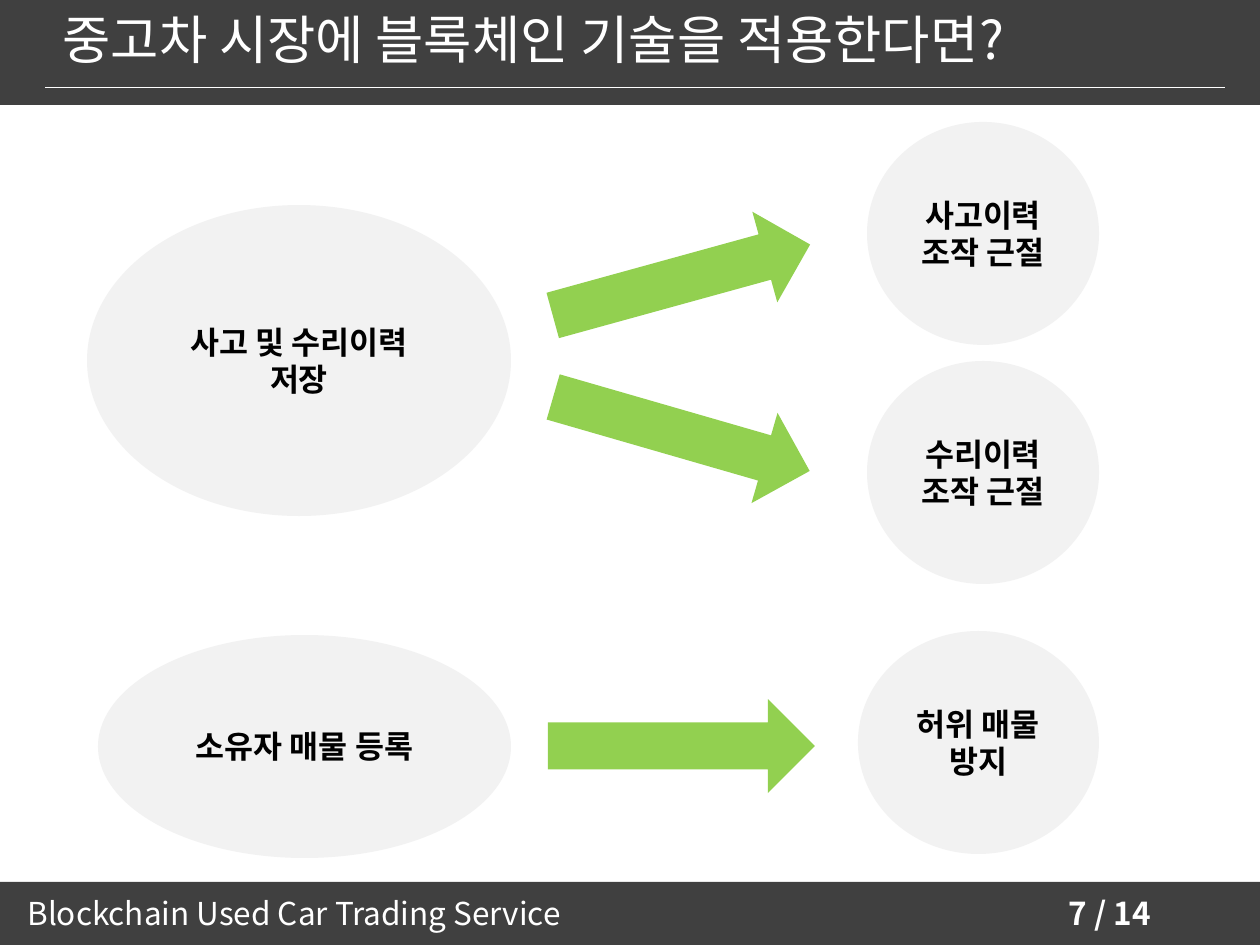
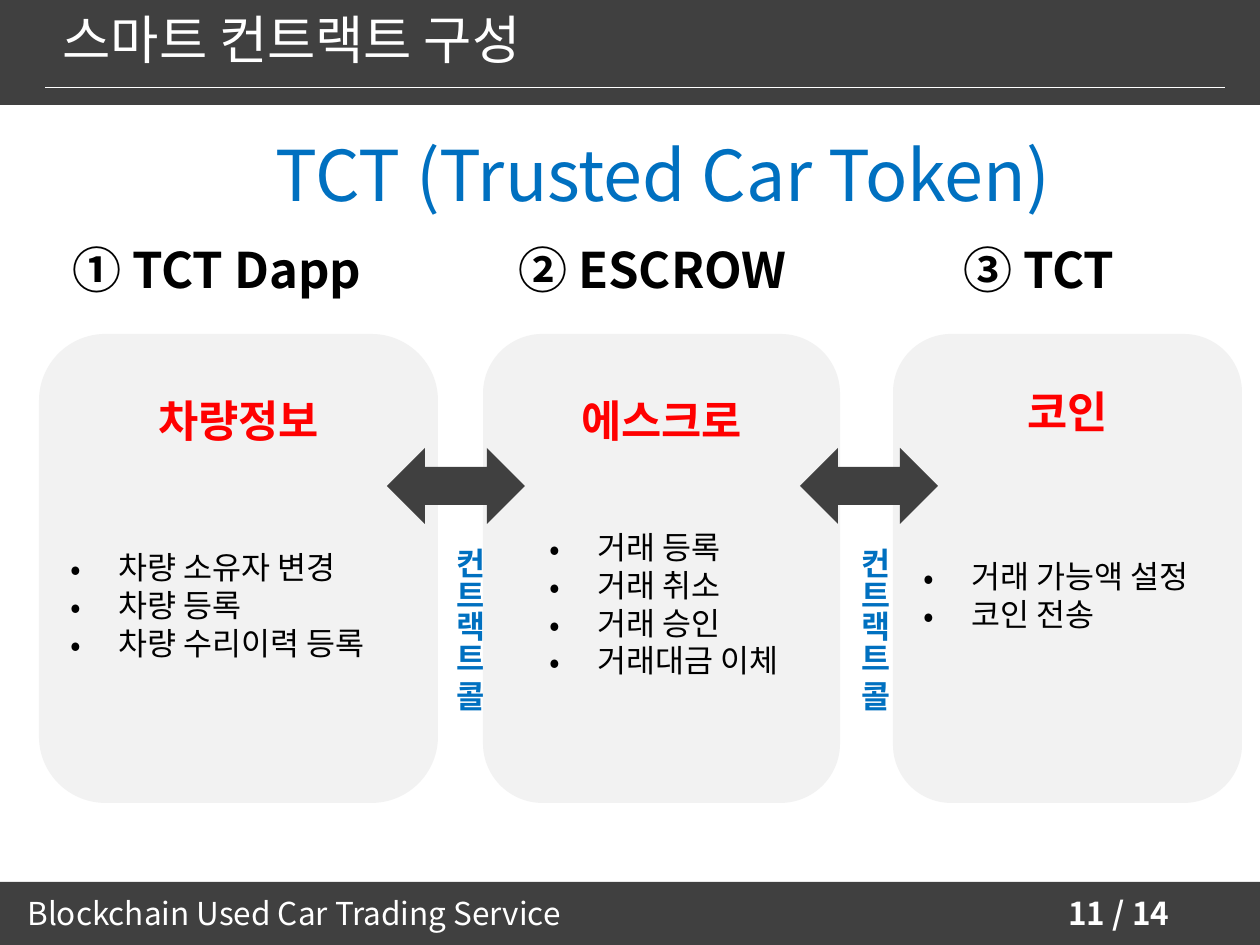
import pptx
import pptx.util
import pptx.dml.color
import pptx.oxml.ns
import pptx.enum.shapes
import pptx.enum.text
import lxml.etree

PX = 914400 / 126
PAGE_WIDTH = 1260
FONT = "Noto Sans CJK KR"
COLORS = {
    "band": "404040", "white": "FFFFFF", "black": "000000", "panel": "F2F2F2",
    "arrow": "92D050", "red": "FF0000", "blue": "0070C0",
}
SHAPES = pptx.enum.shapes.MSO_SHAPE
ALIGN = pptx.enum.text.PP_ALIGN
ANCHOR = pptx.enum.text.MSO_ANCHOR
qn = pptx.oxml.ns.qn


def place(page, kind, area, fill=None):
    """Add a filled preset shape, or a text box when kind is None."""
    spot = [round(value * PX) for value in area]
    if kind is None:
        return page.shapes.add_textbox(*spot)
    shape = page.shapes.add_shape(kind, *spot)
    shape.shadow.inherit = False
    shape.fill.solid()
    shape.fill.fore_color.rgb = pptx.dml.color.RGBColor.from_string(COLORS[fill])
    shape.line.fill.background()
    return shape


def write(shape, text, size=18, color="black", bold=False, align=ALIGN.LEFT,
          anchor=ANCHOR.TOP, top=6, bullet=False, vertical=False):
    """Fill a shape with text, one paragraph for each line."""
    frame = shape.text_frame
    frame.word_wrap = True
    frame.auto_size = pptx.enum.text.MSO_AUTO_SIZE.NONE
    frame.vertical_anchor = anchor
    frame.margin_top = round(top * PX)
    if vertical:
        shape._element.txBody.bodyPr.set("vert", "eaVert")
    for number, line in enumerate(text.split("\n")):
        para = frame.add_paragraph() if number else frame.paragraphs[0]
        para.alignment = align
        para.line_spacing = pptx.util.Pt(size * 1.2)
        if bullet:
            props = para._p.get_or_add_pPr()
            indent = round(48 * PX)
            props.set("marL", str(indent))
            props.set("indent", str(-indent))
            lxml.etree.SubElement(props, qn("a:buFont")).set("typeface", FONT)
            lxml.etree.SubElement(props, qn("a:buChar")).set("char", "•")
        span = para.add_run()
        span.text = line
        span.font.size = pptx.util.Pt(size)
        span.font.bold = bold
        span.font.name = FONT
        span.font.color.rgb = pptx.dml.color.RGBColor.from_string(COLORS[color])
        east_asian = lxml.etree.SubElement(span._r.get_or_add_rPr(), qn("a:ea"))
        east_asian.set("typeface", FONT)


deck = pptx.Presentation()
deck.slide_width = round(PAGE_WIDTH * PX)
deck.slide_height = round(945 * PX)

# Bands, title and footer on every slide
pages = []
for heading, number in [("중고차 시장에 블록체인 기술을 적용한다면?", 7),
                        ("스마트 컨트랙트 구성", 11)]:
    page = deck.slides.add_slide(deck.slide_layouts[5])
    place(page, SHAPES.RECTANGLE, (0, 0, PAGE_WIDTH, 105), "band")
    place(page, SHAPES.RECTANGLE, (0, 882, PAGE_WIDTH, 63), "band")
    rule = page.shapes.add_connector(
        pptx.enum.shapes.MSO_CONNECTOR.STRAIGHT,
        *[round(value * PX) for value in (45, 87, 1225, 87)])
    rule.line.color.rgb = pptx.dml.color.RGBColor.from_string(COLORS["white"])
    rule.line.width = pptx.util.Pt(0.25)
    lxml.etree.SubElement(rule._element.spPr, qn("a:effectLst"))
    write(place(page, None, (15, 888, 635, 50)),
          "Blockchain Used Car Trading Service", color="white")
    write(place(page, None, (1056, 888, 173, 50)), f"{number} / 14",
          color="white", bold=True)

    title = page.shapes.title
    title.left, title.top, title.width, title.height = [
        round(value * PX) for value in (50, 1, 1145, 77)]
    write(title, heading, size=30, color="white")
    page.shapes._spTree.append(title._element)  # in front of the band
    pages.append(page)
benefits_page, contract_page = pages

# Slide 1: stored records and what they prevent
for label, area in [
    ("사고 및 수리이력 저장", (87, 205, 424, 311)),
    ("소유자 매물 등록", (98, 635, 413, 223)),
    ("허위 매물\n방지", (858, 631, 241, 223)),
    ("수리이력\n조작 근절", (867, 361, 232, 223)),
    ("사고이력\n조작 근절", (867, 122, 232, 223)),
]:
    ellipse = place(benefits_page, SHAPES.OVAL, area, "panel")
    write(ellipse, label, bold=True, align=ALIGN.CENTER, anchor=ANCHOR.MIDDLE)

for top, angle in [(233, -15.4), (387, 16.1), (699, 0)]:
    arrow = place(benefits_page, SHAPES.RIGHT_ARROW, (548, top, 267, 94), "arrow")
    arrow.rotation = angle

# Slide 2: token name and contract calls, which lie behind the cards
write(place(contract_page, None, (263, 126, 930, 97)),
      "TCT (Trusted Car Token)", size=40, color="blue")
for left in (432, 837):
    write(place(contract_page, None, (left, 542, 63, 220)), "컨트랙트 콜",
          color="blue", bold=True, vertical=True)

# Slide 2: the three contracts
CARD_TOP = 334
for heading, heading_left, name, name_top, left, width, items, items_area in [
    ("① TCT Dapp", 60, "차량정보", 394, 39, 399,
     "차량 소유자 변경\n차량 등록\n차량 수리이력 등록", (58, 542, 352, 127)),
    ("② ESCROW", 506, "에스크로", 394, 483, 357,
     "거래 등록\n거래 취소\n거래 승인\n거래대금 이체", (537, 522, 316, 165)),
    ("③ TCT", 951, "코인", 385, 893, 349,
     "거래 가능액 설정\n코인 전송", (911, 551, 316, 127)),
]:
    heading_width = min(377, PAGE_WIDTH - heading_left)
    write(place(contract_page, None, (heading_left, 234, heading_width, 72)),
          heading, size=28, bold=True)
    card = place(contract_page, SHAPES.ROUNDED_RECTANGLE,
                 (left, CARD_TOP, width, 469), "panel")
    corner_inset = round(width * 0.05)
    write(card, name, size=25, color="red", bold=True, align=ALIGN.CENTER,
          top=name_top - CARD_TOP - corner_inset)
    write(place(contract_page, None, items_area), items, bullet=True)

# Slide 2: arrows between neighbouring contracts
for left in (387, 800):
    place(contract_page, SHAPES.LEFT_RIGHT_ARROW, (left, 448, 138, 76), "band")

deck.save("out.pptx")
